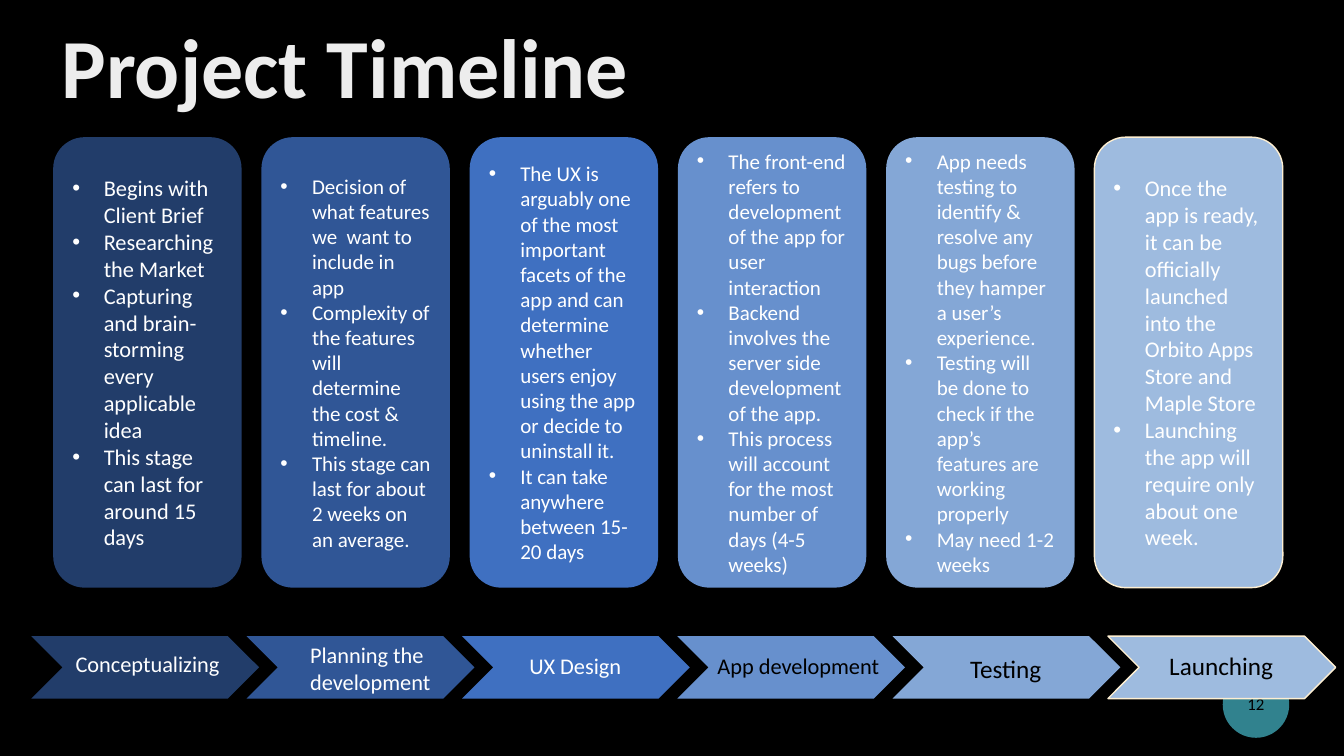
from dataclasses import dataclass

from lxml import etree
from pptx import Presentation
from pptx import util as u
from pptx.dml.color import RGBColor
from pptx.enum import shapes, text
from pptx.oxml import ns

BLACK = RGBColor(0x00, 0x00, 0x00)
WHITE = RGBColor(0xFF, 0xFF, 0xFF)
SILVER = RGBColor(0xED, 0xED, 0xED)
TEAL = RGBColor(0x31, 0x82, 0x8E)
CREAM = RGBColor(0xFE, 0xEF, 0xD2)
BLUES = [
    RGBColor(0x22, 0x3D, 0x6A),
    RGBColor(0x30, 0x56, 0x96),
    RGBColor(0x3F, 0x70, 0xC1),
    RGBColor(0x67, 0x90, 0xCD),
    RGBColor(0x84, 0xA7, 0xD6),
    RGBColor(0x9E, 0xBB, 0xDF),
]
FONT = "Calibri"
BULLET_INDENT = 22.5


@dataclass
class Box:
    left: float
    top: float
    width: float
    height: float

    def lengths(self):
        return [u.Pt(n) for n in (self.left, self.top, self.width, self.height)]

    def shifted(self, distance):
        return Box(self.left + distance, self.top, self.width, self.height)


@dataclass
class Stage:
    label: list
    label_at: tuple
    label_width: float
    label_size: int
    label_color: RGBColor
    details: list
    detail_size: int


STAGES = [
    Stage(["Conceptualizing"], (24.5, 6.5), 122.4, 16, WHITE, [
        "Begins with Client Brief",
        "Researching the Market",
        "Capturing and brain-storming every applicable idea",
        "This stage can last for around 15 days",
    ], 16),
    Stage(["Planning the", "development"], (38.2, 0), 116, 16, WHITE, [
        "Decision of what features we  want to include in app",
        "Complexity of the features will determine the cost & timeline.",
        "This stage can last for about 2 weeks on an average.",
    ], 15),
    Stage(["UX Design"], (41, 7.9), 84.2, 16, WHITE, [
        "The UX is arguably one of the most important facets of the app and can "
        "determine whether users enjoy using the app or decide to uninstall it.",
        "It can take anywhere between 15-20 days",
    ], 15),
    Stage(["App development"], (21.6, 7.9), 130.3, 16, BLACK, [
        "The front-end refers to development of the app for user interaction",
        "Backend involves the server side development of the app.",
        "This process will account for the most number of days (4-5 weeks)",
    ], 15),
    Stage(["Testing"], (48.2, 8.6), 65.5, 18, BLACK, [
        "App needs testing to identify & resolve any bugs before they hamper "
        "a user’s experience.",
        "Testing will be done to check if the app’s features are working properly",
        "May need 1-2 weeks",
    ], 15),
    Stage(["Launching"], (36.7, 6.5), 88.6, 18, BLACK, [
        "Once the app is ready, it can be officially launched into the "
        "Orbito Apps Store and Maple Store",
        "Launching the app will require only about one week.",
    ], 16),
]


def add_span(para, words, size, color, bold=False):
    span = para.add_run()
    span.text = words
    span.font.name = FONT
    span.font.size = u.Pt(size)
    span.font.bold = bold
    span.font.color.rgb = color


def fill_paragraphs(frame, lines, size, color, align, bulleted=False):
    for index, line in enumerate(lines):
        para = frame.add_paragraph() if index else frame.paragraphs[0]
        para.alignment = align
        if bulleted:
            props = para._p.get_or_add_pPr()
            props.set("marL", str(u.Pt(BULLET_INDENT)))
            props.set("indent", str(-u.Pt(BULLET_INDENT)))
            etree.SubElement(props, ns.qn("a:buFont")).set("typeface", "Arial")
            etree.SubElement(props, ns.qn("a:buChar")).set("char", "•")
        add_span(para, line, size, color)


def add_panel(page, kind, box, color, outline=None):
    panel = page.shapes.add_shape(kind, *box.lengths())
    panel.shadow.inherit = False
    panel.fill.solid()
    panel.fill.fore_color.rgb = color
    if outline is None:
        panel.line.fill.background()
    else:
        panel.line.color.rgb = outline
        panel.line.width = u.Pt(1)
    return panel


def add_title(page, box):
    title = page.shapes.title
    title.left, title.top, title.width, title.height = box.lengths()
    frame = title.text_frame
    frame.word_wrap = True
    frame.auto_size = text.MSO_AUTO_SIZE.NONE
    frame.vertical_anchor = text.MSO_ANCHOR.MIDDLE
    para = frame.paragraphs[0]
    para.alignment = text.PP_ALIGN.LEFT
    para.line_spacing = 0.9
    add_span(para, "Project Timeline", 60, SILVER, bold=True)


def add_page_number(page, box):
    add_panel(page, shapes.MSO_SHAPE.OVAL, box, TEAL)
    number = page.shapes.add_textbox(
        *Box(box.left, box.top + 7.9, box.width, 31).lengths())
    frame = number.text_frame
    frame.word_wrap = True
    frame.margin_left = frame.margin_right = 0
    frame.margin_top = frame.margin_bottom = 0
    frame.vertical_anchor = text.MSO_ANCHOR.MIDDLE
    fill_paragraphs(frame, ["12"], 12, BLACK, text.PP_ALIGN.CENTER)


def add_step(page, box, stage, color, outline):
    add_panel(page, shapes.MSO_SHAPE.CHEVRON, box, color, outline)
    across, down = stage.label_at
    height = 46 if len(stage.label) > 1 else 1.22 * stage.label_size + 7.2
    label = page.shapes.add_textbox(
        *Box(box.left + across, box.top + down, stage.label_width, height).lengths())
    frame = label.text_frame
    frame.word_wrap = len(stage.label) > 1
    frame.auto_size = text.MSO_AUTO_SIZE.SHAPE_TO_FIT_TEXT
    fill_paragraphs(frame, stage.label, stage.label_size, stage.label_color,
                    text.PP_ALIGN.LEFT)


def add_card(page, box, stage, color, outline):
    card = add_panel(page, shapes.MSO_SHAPE.FLOWCHART_ALTERNATE_PROCESS,
                     box, color, outline)
    frame = card.text_frame
    frame.word_wrap = True
    frame.vertical_anchor = text.MSO_ANCHOR.MIDDLE
    fill_paragraphs(frame, stage.details, stage.detail_size, WHITE,
                    text.PP_ALIGN.LEFT, bulleted=True)


def add_row(page, first_box, pitch, add_part):
    for index, (stage, color) in enumerate(zip(STAGES, BLUES)):
        outline = CREAM if stage is STAGES[-1] else None
        add_part(page, first_box.shifted(index * pitch), stage, color, outline)


def main():
    deck = Presentation()
    deck.slide_width, deck.slide_height = u.Pt(960), u.Pt(540)
    page = deck.slides.add_slide(deck.slide_layouts[5])
    page.background.fill.solid()
    page.background.fill.fore_color.rgb = BLACK
    add_title(page, Box(36.7, 14.4, 828, 73.4))
    add_page_number(page, Box(873.4, 479.5, 47.5, 47.5))
    add_row(page, Box(22.4, 454.4, 162.7, 44.6), 153.8, add_step)
    add_row(page, Box(38, 98, 134.6, 321.8), 148.75, add_card)
    deck.save("out.pptx")


if __name__ == "__main__":
    main()
